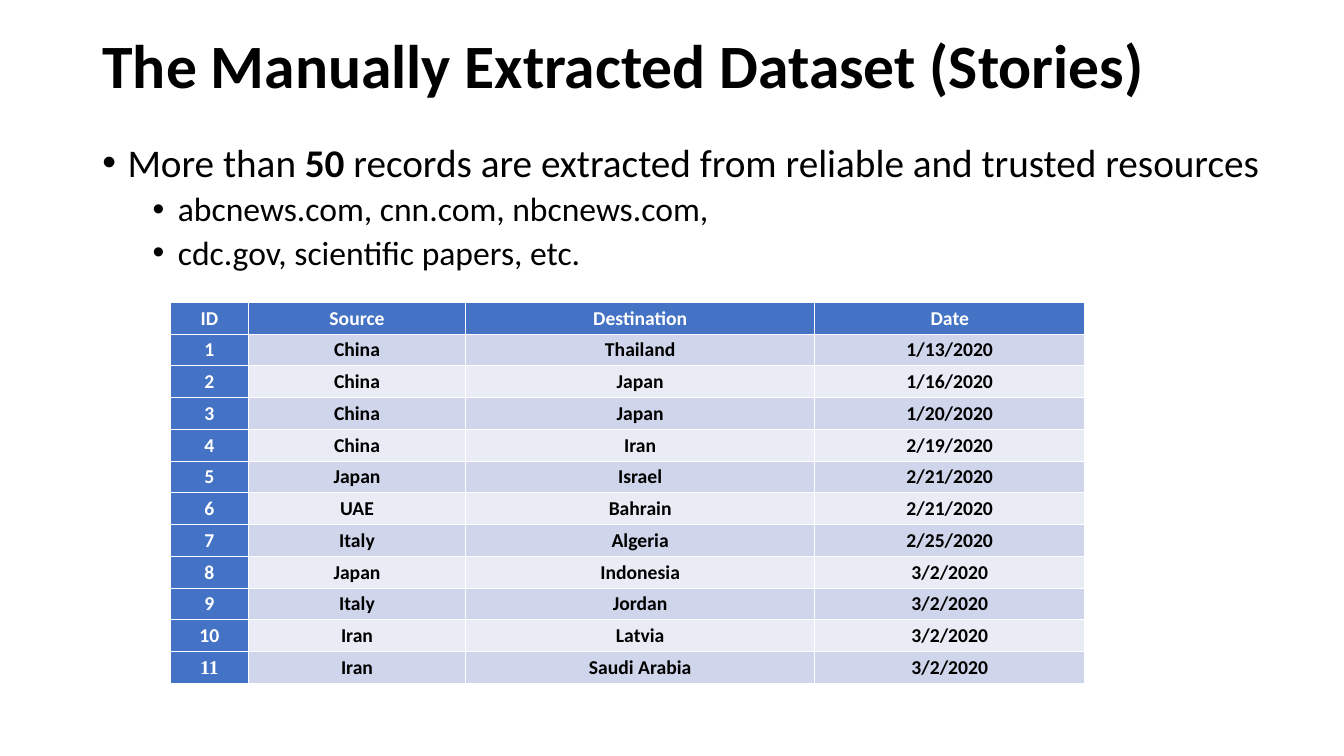
from pptx import Presentation
from pptx.dml.color import RGBColor
from pptx.enum.text import MSO_ANCHOR, MSO_AUTO_SIZE, PP_ALIGN
from pptx.oxml.ns import qn
from pptx.util import Inches, Pt
from lxml.etree import SubElement

COLORS = {
    "ink": "000000",
    "white": "FFFFFF",
    "header": "4472C4",
    "odd_row": "CFD5EA",
    "even_row": "E9EBF5",
}
CELLS_PER_INCH = 12

TITLE = "The Manually Extracted Dataset (Stories)"
POINTS = [
    (0, [("More than ", False), ("50 ", True),
         ("records are extracted from reliable and trusted resources", False)]),
    (1, [("abcnews.com, cnn.com, nbcnews.com,", False)]),
    (1, [("cdc.gov, scientific papers, etc.", False)]),
]
HEADINGS = ("ID", "Source", "Destination", "Date")
STORIES = [
    ("China", "Thailand", "1/13/2020"),
    ("China", "Japan", "1/16/2020"),
    ("China", "Japan", "1/20/2020"),
    ("China", "Iran", "2/19/2020"),
    ("Japan", "Israel", "2/21/2020"),
    ("UAE", "Bahrain", "2/21/2020"),
    ("Italy", "Algeria", "2/25/2020"),
    ("Japan", "Indonesia", "3/2/2020"),
    ("Italy", "Jordan", "3/2/2020"),
    ("Iran", "Latvia", "3/2/2020"),
    ("Iran", "Saudi Arabia", "3/2/2020"),
]


def grid(count):
    return Inches(count / CELLS_PER_INCH)


def rgb(name):
    return RGBColor.from_string(COLORS[name])


class StorySlide:
    font = "Calibri"
    id_font = "Times New Roman"
    level_sizes = (28, 24)
    level_gaps = (10, 5)

    def __init__(self, deck):
        self.slide = deck.slides.add_slide(deck.slide_layouts[5])

    def run(self, paragraph, text, size, color="ink", bold=False, font=None):
        run = paragraph.add_run()
        run.text = text
        run.font.name = font or self.font
        run.font.size = Pt(size)
        run.font.bold = bold
        run.font.color.rgb = rgb(color)

    def title(self, text, left, top, width, height):
        title = self.slide.shapes.title
        title.left, title.top = grid(left), grid(top)
        title.width, title.height = grid(width), grid(height)
        frame = title.text_frame
        frame.auto_size = MSO_AUTO_SIZE.NONE
        frame.vertical_anchor = MSO_ANCHOR.MIDDLE
        heading = frame.paragraphs[0]
        heading.alignment = PP_ALIGN.LEFT
        heading.line_spacing = 0.9
        self.run(heading, text, 44, bold=True)

    def bullets(self, points, left, top, width, height):
        body = self.slide.shapes.add_textbox(
            grid(left), grid(top), grid(width), grid(height))
        frame = body.text_frame
        frame.word_wrap = True
        for index, (level, parts) in enumerate(points):
            point = frame.add_paragraph() if index else frame.paragraphs[0]
            self.bullet(point, level)
            point.level = level
            point.line_spacing = 0.9
            point.space_before = Pt(self.level_gaps[level] if index else 0)
            for text, bold in parts:
                self.run(point, text, self.level_sizes[level], bold=bold)

    def bullet(self, point, level):
        properties = point._p.get_or_add_pPr()
        properties.set("marL", str(grid(3 + 6 * level)))
        properties.set("indent", str(-grid(3)))
        SubElement(properties, qn("a:buFont"), typeface="Arial")
        SubElement(properties, qn("a:buChar"), char="•")

    def table(self, rows, left, top, widths, row_height):
        table = self.slide.shapes.add_table(
            len(rows), len(widths), grid(left), grid(top),
            grid(sum(widths)), grid(row_height * len(rows))).table
        table.first_col = True
        table.horz_banding = False
        for column, width in zip(table.columns, widths):
            column.width = grid(width)
        for number, values in enumerate(rows):
            table.rows[number].height = grid(row_height)
            for position, value in enumerate(values):
                is_heading = number == 0 or position == 0
                band = "odd_row" if number % 2 else "even_row"
                is_last_id = position == 0 and number == len(rows) - 1
                self.cell(table.cell(number, position), value,
                          "header" if is_heading else band,
                          "white" if is_heading else "ink",
                          0.84 if is_heading else 0.12,
                          self.id_font if is_last_id else self.font)

    def cell(self, cell, text, fill, color, inset, font):
        cell.margin_left = cell.margin_right = grid(inset)
        cell.margin_top = cell.margin_bottom = 0
        cell.vertical_anchor = MSO_ANCHOR.MIDDLE
        self.borders(cell)
        cell.fill.solid()
        cell.fill.fore_color.rgb = rgb(fill)
        entry = cell.text_frame.paragraphs[0]
        entry.alignment = PP_ALIGN.CENTER
        self.run(entry, text, 14, color, True, font)

    def borders(self, cell):
        properties = cell._tc.get_or_add_tcPr()
        for side in "LRTB":
            line = SubElement(properties, qn(f"a:ln{side}"), w=str(Pt(1)))
            paint = SubElement(line, qn("a:solidFill"))
            SubElement(paint, qn("a:srgbClr"), val=COLORS["white"])


def main():
    deck = Presentation()
    deck.slide_width, deck.slide_height = Inches(13.33), Inches(7.5)
    page = StorySlide(deck)
    page.title(TITLE, 11, 1.5, 138, 13.3)
    page.bullets(POINTS, 11, 16.5, 145, 19.5)
    numbered = [(str(number), *story)
                for number, story in enumerate(STORIES, 1)]
    page.table([HEADINGS, *numbered], 20.3, 36, (9.25, 25.9, 41.5, 32.2), 3.78)
    deck.save("out.pptx")


if __name__ == "__main__":
    main()
